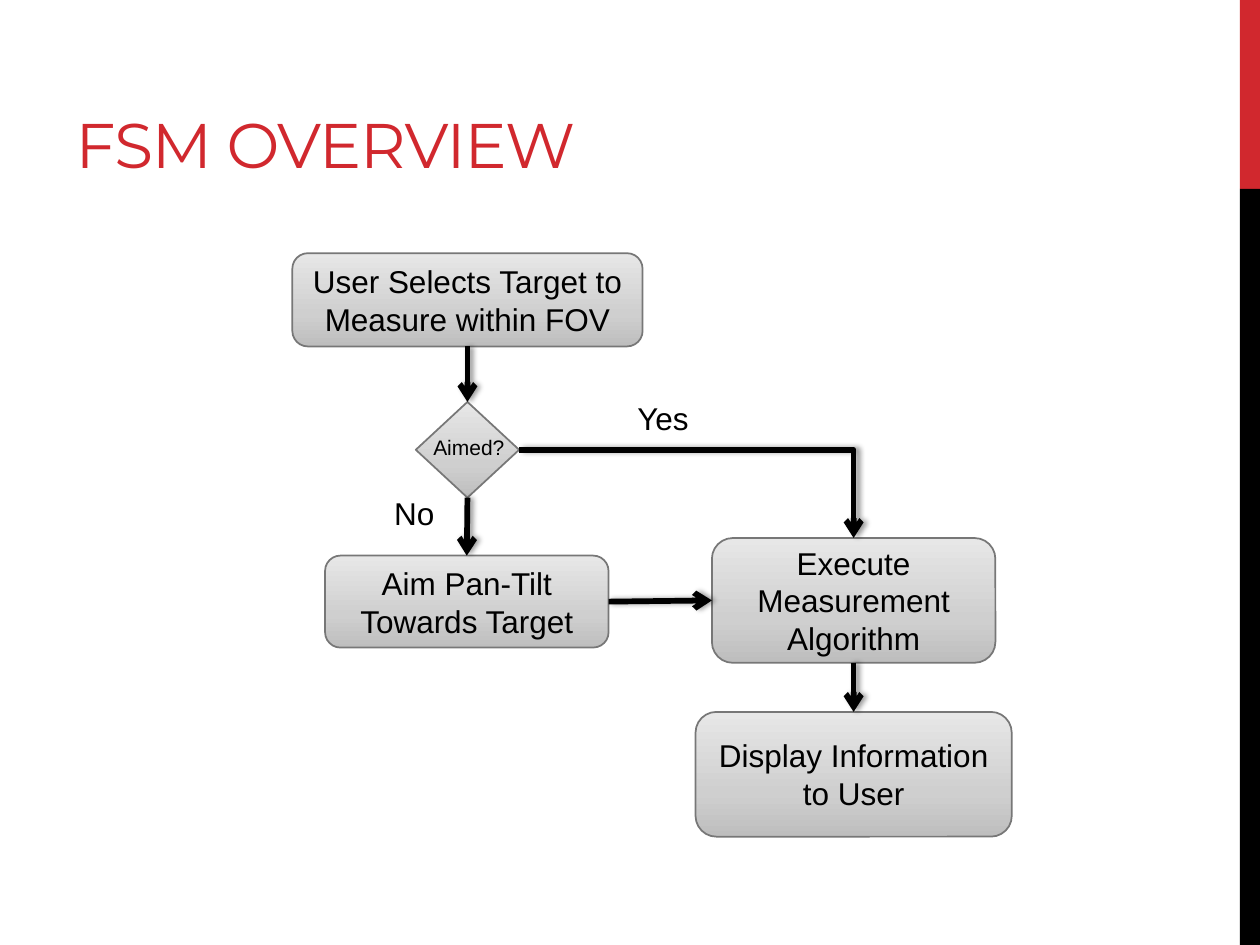
import copy

import lxml.etree
import pptx
import pptx.dml.color
import pptx.enum.dml
import pptx.enum.shapes
import pptx.enum.text
import pptx.oxml.ns
import pptx.util

Inches = pptx.util.Inches
Points = pptx.util.Pt
Shapes = pptx.enum.shapes.MSO_SHAPE
Connectors = pptx.enum.shapes.MSO_CONNECTOR
Anchor = pptx.enum.text.MSO_ANCHOR
Align = pptx.enum.text.PP_ALIGN

COLOURS = {
    "red": "D1282E",
    "black": "000000",
    "outline": "777777",
    "dark": "BEBEBE",
    "middle": "CFCFCF",
    "light": "E7E7E7",
}
GRADIENT = [(0, "dark"), (0.35, "middle"), (1, "light")]

# Connection sites, numbered counterclockwise
TOP, LEFT, BOTTOM, RIGHT = range(4)


def colour(name):
    return pptx.dml.color.RGBColor.from_string(COLOURS[name])


def add_child(parent, tag, **attributes):
    return lxml.etree.SubElement(parent, pptx.oxml.ns.qn(tag), attributes)


def write(paragraph, text, size, font="Arial", colour_name="black"):
    span = paragraph.add_run()
    span.text = text
    span.font.size = Points(size)
    span.font.name = font
    span.font.color.rgb = colour(colour_name)
    return span


def add_title(page, text):
    title = page.shapes.title
    title.left, title.top = Inches(0.5), Inches(0.17)
    title.width, title.height = Inches(6.33), Inches(1.5)
    frame = title.text_frame
    frame.auto_size = pptx.enum.text.MSO_AUTO_SIZE.NONE
    frame.vertical_anchor = Anchor.BOTTOM
    frame.margin_bottom = Inches(0.23)
    paragraph = frame.paragraphs[0]
    paragraph.alignment = Align.LEFT
    span = write(paragraph, text, 36, "Montserrat", "red")
    span.font._element.set("spc", "-60")


def add_band(page, top, height, colour_name):
    band = page.shapes.add_shape(
        Shapes.RECTANGLE, Inches(9.84), Inches(top), Inches(0.16), Inches(height))
    band.shadow.inherit = False
    band.fill.solid()
    band.fill.fore_color.rgb = colour(colour_name)
    band.line.fill.background()


def add_node(shapes, kind, left, top, width, height, text=None):
    node = shapes.add_shape(
        kind, Inches(left), Inches(top), Inches(width), Inches(height))
    node.shadow.inherit = False
    node.line.color.rgb = colour("outline")
    node.line.width = Points(1)
    # The gradient starts with two stops; a third is added between them
    node.fill.gradient()
    node.fill.gradient_angle = 90
    first_stop = node.fill.gradient_stops[0]._gs
    first_stop.addnext(copy.deepcopy(first_stop))
    for stop, (position, name) in zip(node.fill.gradient_stops, GRADIENT):
        stop.position = position
        stop.color.rgb = colour(name)
    if text:
        node.text_frame.vertical_anchor = Anchor.MIDDLE
        paragraph = node.text_frame.paragraphs[0]
        paragraph.alignment = Align.CENTER
        write(paragraph, text, 18)
    return node


def add_label(shapes, left, top, width, height, text, size=18):
    box = shapes.add_textbox(
        Inches(left), Inches(top), Inches(width), Inches(height))
    box.text_frame.word_wrap = False
    box.text_frame.auto_size = pptx.enum.text.MSO_AUTO_SIZE.SHAPE_TO_FIT_TEXT
    write(box.text_frame.paragraphs[0], text, size)


def add_arrow(page, start, start_site, end, end_site, bent=False):
    kind = Connectors.ELBOW if bent else Connectors.STRAIGHT
    arrow = page.shapes.add_connector(kind, 0, 0, 0, 0)
    arrow.begin_connect(start, start_site)
    arrow.end_connect(end, end_site)
    arrow.line.color.rgb = colour("black")
    arrow.line.width = Points(3.25)
    properties = arrow._element.spPr
    if bent:
        # One corner only
        properties.find(pptx.oxml.ns.qn("a:prstGeom")).set("prst", "bentConnector2")
    add_child(arrow.line._get_or_add_ln(), "a:tailEnd", type="arrow")
    # Soft shadow to the right
    effects = add_child(properties, "a:effectLst")
    shadow = add_child(
        effects, "a:outerShdw", blurRad=str(Points(3.1)), dist=str(Points(1.8)),
        dir="0", rotWithShape="0")
    shade = add_child(shadow, "a:srgbClr", val=COLOURS["black"])
    add_child(shade, "a:alpha", val="40000")


def main():
    deck = pptx.Presentation()
    deck.slide_width, deck.slide_height = Inches(10), Inches(7.5)
    page = deck.slides.add_slide(deck.slide_layouts[5])

    # Side bands and title
    add_band(page, 0, 1.5, "red")
    add_band(page, 1.5, 6, "black")
    add_title(page, "FSM OVERVIEW")

    # Steps
    rounded = Shapes.ROUNDED_RECTANGLE
    select = add_node(page.shapes, rounded, 2.32, 2.01, 2.78, 0.74,
                      "User Selects Target to Measure within FOV")
    aim = add_node(page.shapes, rounded, 2.58, 4.41, 2.25, 0.73,
                   "Aim Pan-Tilt Towards Target")
    execute = add_node(page.shapes, rounded, 5.65, 4.27, 2.25, 0.99,
                       "Execute Measurement Algorithm")
    display = add_node(page.shapes, rounded, 5.52, 5.65, 2.51, 0.99,
                       "Display Information to User")

    # Decision
    decision = page.shapes.add_group_shape()
    diamond = add_node(decision.shapes, Shapes.DIAMOND, 3.3, 3.19, 0.82, 0.76)
    add_label(decision.shapes, 3.34, 3.4, 0.79, 0.3, "Aimed?", 12)

    # Flow
    add_arrow(page, select, BOTTOM, diamond, TOP)
    add_arrow(page, diamond, BOTTOM, aim, TOP)
    add_arrow(page, aim, RIGHT, execute, LEFT)
    add_arrow(page, diamond, RIGHT, execute, TOP, bent=True)
    add_arrow(page, execute, BOTTOM, display, TOP)
    add_label(page.shapes, 4.96, 3.12, 0.61, 0.4, "Yes")
    add_label(page.shapes, 3.03, 3.87, 0.52, 0.4, "No")

    deck.save("out.pptx")


if __name__ == "__main__":
    main()
